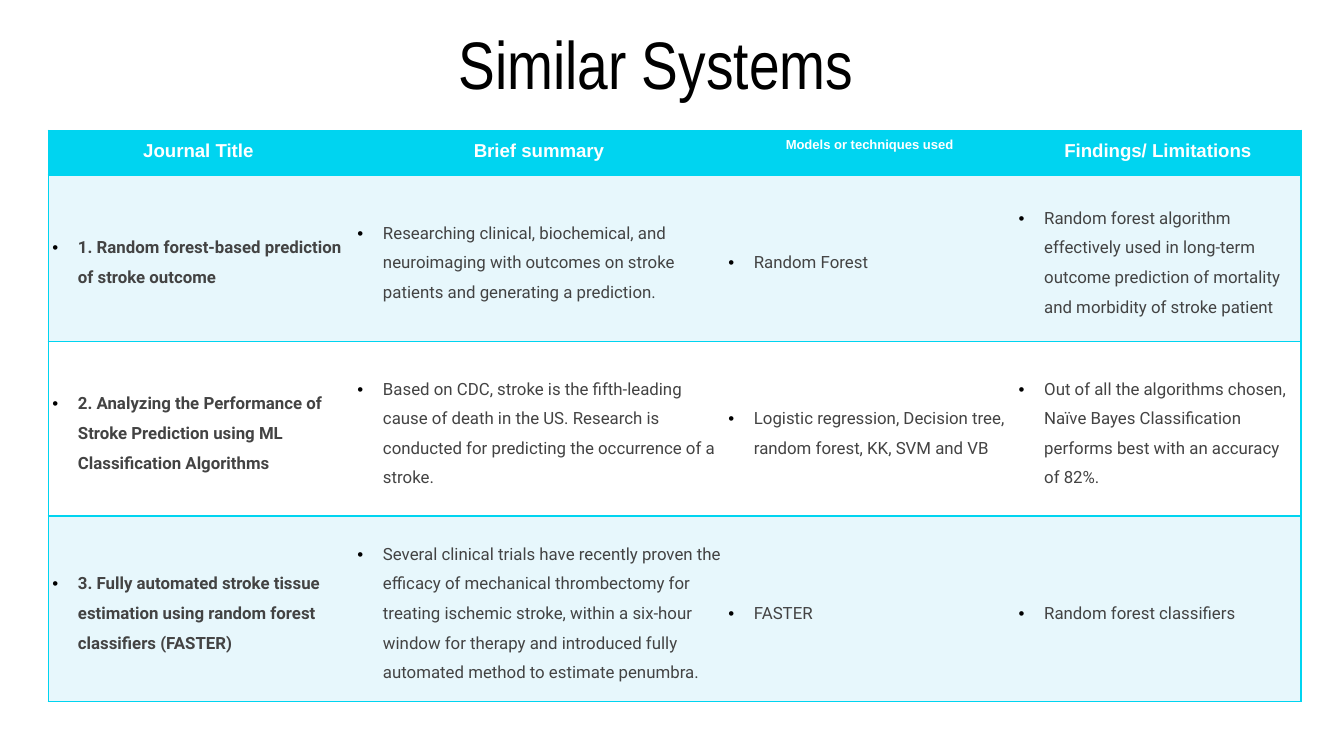
"""Build the slide comparing similar stroke prediction systems."""
from dataclasses import dataclass

from lxml.etree import SubElement
from pptx import Presentation
from pptx.dml.color import RGBColor
from pptx.enum.text import MSO_ANCHOR, PP_ALIGN
from pptx.oxml.ns import qn
from pptx.util import Inches, Pt

CYAN, PALE, WHITE, BLACK, GRAY = "00D4F0", "E7F7FC", "FFFFFF", "000000", "434343"
COLUMN_WIDTHS = (2.27, 2.76, 2.16, 2.13)
ROW_HEIGHTS = (0.33, 1.24, 1.3, 1.38)
HEADINGS = (("Journal Title ", 10), ("Brief summary", 10),
            ("Models or techniques used", 7), ("Findings/ Limitations", 10))


@dataclass(frozen=True)
class Study:
    title: str
    summary: str
    models: str
    findings: str


@dataclass(frozen=True)
class TextStyle:
    font: str
    size: float
    color: str
    bold: bool = False


STUDIES = (
    Study("1. Random forest‑based prediction of stroke outcome",
          "Researching clinical, biochemical, and neuroimaging with outcomes on stroke "
          "patients and generating a prediction.",
          "Random Forest",
          "Random forest algorithm effectively used in long-term outcome prediction of "
          "mortality and morbidity of stroke patient"),
    Study("2. Analyzing the Performance of Stroke Prediction using ML Classification Algorithms",
          "Based on CDC, stroke is the fifth-leading cause of death in the US. Research is "
          "conducted for predicting the occurrence of a stroke.",
          "Logistic regression, Decision tree, random forest, KK, SVM and VB",
          "Out of all the algorithms chosen, Naïve Bayes Classification performs best with "
          "an accuracy of 82%."),
    Study("3. Fully automated stroke tissue estimation using random forest classifiers (FASTER)",
          "Several clinical trials have recently proven the efficacy of mechanical "
          "thrombectomy for treating ischemic stroke, within a six-hour window for therapy "
          "and introduced fully automated method to estimate penumbra.",
          "FASTER",
          "Random forest classifiers"),
)


def rgb(value: str) -> RGBColor:
    return RGBColor.from_string(value)


def add_span(para, text: str, style: TextStyle) -> None:
    span = para.add_run()
    span.text = text
    span.font.name = style.font
    span.font.size = Pt(style.size)
    span.font.bold = style.bold
    span.font.color.rgb = rgb(style.color)


def add_solid(parent, color: str) -> None:
    SubElement(SubElement(parent, qn("a:solidFill")), qn("a:srgbClr"), val=color)


def add_bullet(para) -> None:
    properties = para._p.get_or_add_pPr()
    properties.set("marL", str(Inches(0.19)))
    properties.set("indent", str(-Inches(0.19)))
    SubElement(SubElement(properties, qn("a:buClr")), qn("a:srgbClr"), val=BLACK)
    SubElement(properties, qn("a:buFont"), typeface="Arial")
    SubElement(properties, qn("a:buChar"), char="•")


def set_borders(cell, visible: str) -> None:
    properties = cell._tc.get_or_add_tcPr()
    for side in "LRTB":
        line = SubElement(properties, qn(f"a:ln{side}"), w=str(Pt(1)))
        if side in visible:
            add_solid(line, CYAN)
        else:
            SubElement(line, qn("a:noFill"))


def fill_cell(cell, text: str, style: TextStyle, fill: str, borders: str, heading: bool) -> None:
    cell.margin_left = cell.margin_right = Inches(0.03)
    cell.margin_top = cell.margin_bottom = Inches(0)
    cell.vertical_anchor = MSO_ANCHOR.TOP if heading else MSO_ANCHOR.MIDDLE
    set_borders(cell, borders)
    cell.fill.solid()
    cell.fill.fore_color.rgb = rgb(fill)
    para = cell.text_frame.paragraphs[0]
    para.line_spacing = 1.5
    if heading:
        para.alignment = PP_ALIGN.CENTER
    else:
        add_bullet(para)
    add_span(para, text, style)


def add_title(page, text: str) -> None:
    box = page.shapes.add_textbox(Inches(0.22), Inches(0.16), Inches(9.32), Inches(0.61))
    frame = box.text_frame
    frame.word_wrap = True
    frame.vertical_anchor = MSO_ANCHOR.MIDDLE
    frame.margin_left = frame.margin_right = Inches(0.1)
    frame.margin_top = frame.margin_bottom = Inches(0.1)
    para = frame.paragraphs[0]
    para.alignment = PP_ALIGN.CENTER
    add_span(para, text, TextStyle("Arial Narrow", 36, BLACK))


def add_study_table(page) -> None:
    table = page.shapes.add_table(
        len(ROW_HEIGHTS), len(COLUMN_WIDTHS), Inches(0.36), Inches(0.97),
        Inches(sum(COLUMN_WIDTHS)), Inches(sum(ROW_HEIGHTS))).table
    table.first_row = table.horz_banding = False
    for column, width in zip(table.columns, COLUMN_WIDTHS):
        column.width = Inches(width)
    for row, height in zip(table.rows, ROW_HEIGHTS):
        row.height = Inches(height)
    edges = {0: "LTB", len(COLUMN_WIDTHS) - 1: "RTB"}
    for index, (text, size) in enumerate(HEADINGS):
        fill_cell(table.cell(0, index), text, TextStyle("Arial", size, WHITE, True),
                  CYAN, edges.get(index, "TB"), True)
    for number, study in enumerate(STUDIES, 1):
        fill = PALE if number % 2 else WHITE
        texts = (study.title, study.summary, study.models, study.findings)
        for index, text in enumerate(texts):
            fill_cell(table.cell(number, index), text, TextStyle("Roboto", 9, GRAY, index == 0),
                      fill, edges.get(index, "TB"), False)


def main() -> None:
    deck = Presentation()
    deck.slide_width = Inches(10)
    deck.slide_height = deck.slide_width * 9 // 16
    page = deck.slides.add_slide(deck.slide_layouts[6])
    add_title(page, "Similar Systems")
    add_study_table(page)
    deck.save("out.pptx")


if __name__ == "__main__":
    main()
